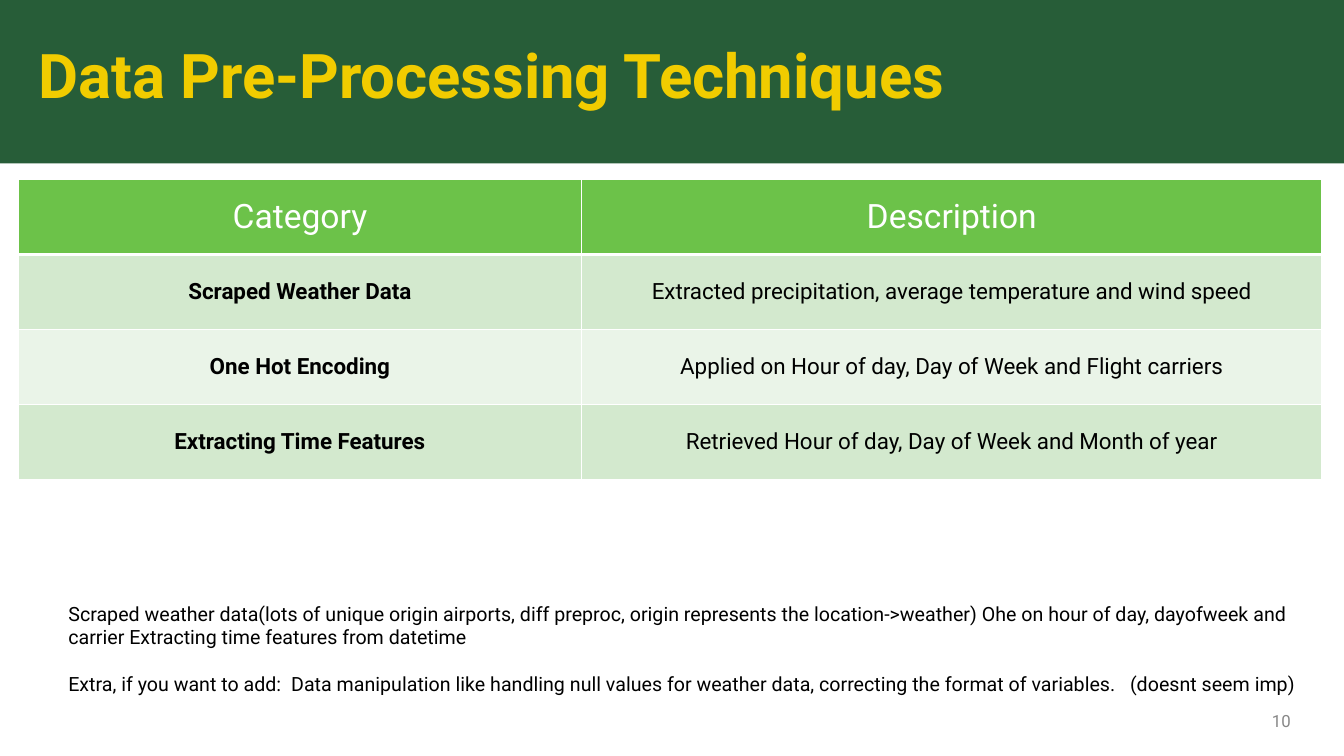
import pptx
import pptx.util
import pptx.dml.color
import pptx.enum.shapes
import pptx.enum.text
import pptx.oxml.ns
import lxml.etree

Inches = pptx.util.Inches
Pt = pptx.util.Pt
Align = pptx.enum.text.PP_ALIGN
Anchor = pptx.enum.text.MSO_ANCHOR

TITLE = "Data Pre-Processing Techniques"
PAGE_NUMBER = "10"
TECHNIQUES = [
    ("Category", "Description"),
    ("Scraped Weather Data", "Extracted precipitation, average temperature and wind speed"),
    ("One Hot Encoding", "Applied on Hour of day, Day of Week and Flight carriers"),
    ("Extracting Time Features", "Retrieved Hour of day, Day of Week and Month of year"),
]
NOTES = [
    "Scraped weather data(lots of unique origin airports, diff preproc, origin represents "
    "the location->weather) Ohe on hour of day, dayofweek and carrier Extracting time "
    "features from datetime",
    "Extra, if you want to add:\tData manipulation like handling null values for weather "
    "data, correcting the format of variables.\t(doesnt seem imp)",
]
NOTE_TABS = (2.21, 10.53)
COLUMN_WIDTHS = (5.59, 7.34)
ROW_HEIGHT = 0.745

THEME = {
    "font": "Roboto",
    "banner": "275D38",
    "title": "F1CC00",
    "header": "6CC249",
    "bands": ("EAF4E8", "D3E9CE"),
    "white": "FFFFFF",
    "text": "000000",
    "muted": "888888",
    "title_size": 44,
    "header_size": 24,
    "cell_size": 16,
    "note_size": 14,
    "number_size": 12,
}


def color(name):
    return pptx.dml.color.RGBColor.from_string(name)


def style(para, size, ink, bold=False, align=Align.LEFT):
    para.alignment = align
    para.font.name = THEME["font"]
    para.font.size = Pt(size)
    para.font.bold = bold
    para.font.color.rgb = color(ink)


def add_text_box(page, place, margins=(0.1, 0.05), anchor=Anchor.TOP):
    frame = page.shapes.add_textbox(*map(Inches, place)).text_frame
    frame.word_wrap = True
    frame.vertical_anchor = anchor
    frame.margin_left = frame.margin_right = Inches(margins[0])
    frame.margin_top = frame.margin_bottom = Inches(margins[1])
    return frame


def add_child(parent, tag, **attributes):
    return lxml.etree.SubElement(parent, pptx.oxml.ns.qn(tag), **attributes)


def add_borders(cell, top, bottom):
    properties = cell._tc.get_or_add_tcPr()
    for side, width in (("L", 1), ("R", 1), ("T", top), ("B", bottom)):
        line = add_child(properties, f"a:ln{side}", w=str(Pt(width)))
        add_child(add_child(line, "a:solidFill"), "a:srgbClr", val=THEME["white"])


def add_banner(page, width):
    banner = page.shapes.add_shape(
        pptx.enum.shapes.MSO_SHAPE.RECTANGLE, 0, 0, width, Inches(1.62))
    banner.shadow.inherit = False
    banner.fill.solid()
    banner.fill.fore_color.rgb = color(THEME["banner"])
    banner.line.fill.background()
    para = add_text_box(page, (0.38, 0.45, 12.52, 0.83), (0, 0)).paragraphs[0]
    para.text = TITLE
    para.line_spacing = 0.9
    style(para, THEME["title_size"], THEME["title"], bold=True)


def add_techniques(page):
    table = page.shapes.add_table(
        len(TECHNIQUES), len(COLUMN_WIDTHS), Inches(0.18), Inches(1.78),
        Inches(sum(COLUMN_WIDTHS)), Inches(ROW_HEIGHT * len(TECHNIQUES))).table
    for column, width in zip(table.columns, COLUMN_WIDTHS):
        column.width = Inches(width)
    for row_index, texts in enumerate(TECHNIQUES):
        table.rows[row_index].height = Inches(ROW_HEIGHT)
        is_header = row_index == 0
        for column_index, text in enumerate(texts):
            cell = table.cell(row_index, column_index)
            add_borders(cell, 3 if row_index == 1 else 1, 3 if is_header else 1)
            cell.fill.solid()
            cell.fill.fore_color.rgb = color(
                THEME["header"] if is_header else THEME["bands"][row_index % 2])
            cell.vertical_anchor = Anchor.MIDDLE
            para = cell.text_frame.paragraphs[0]
            para.text = text
            style(para,
                  THEME["header_size" if is_header else "cell_size"],
                  THEME["white" if is_header else "text"],
                  bold=not is_header and column_index == 0,
                  align=Align.CENTER)


def add_notes(page):
    frame = add_text_box(page, (0.58, 5.92, 12.53, 1.04))
    for index, text in enumerate(NOTES):
        para = frame.add_paragraph() if index else frame.paragraphs[0]
        para.text = text
        if index:
            para.space_before = Pt(16.5)
        if "\t" in text:
            stops = add_child(para._p.get_or_add_pPr(), "a:tabLst")
            for position in NOTE_TABS:
                add_child(stops, "a:tab", pos=str(Inches(position)), algn="l")
        style(para, THEME["note_size"], THEME["text"])


def add_page_number(page):
    frame = add_text_box(page, (9.65, 6.95, 3.25, 0.4), anchor=Anchor.MIDDLE)
    para = frame.paragraphs[0]
    para.text = PAGE_NUMBER
    style(para, THEME["number_size"], THEME["muted"], align=Align.RIGHT)


def main():
    deck = pptx.Presentation()
    deck.slide_width = Inches(13.33)
    deck.slide_height = Inches(7.5)
    page = deck.slides.add_slide(deck.slide_layouts[6])
    add_banner(page, deck.slide_width)
    add_techniques(page)
    add_notes(page)
    add_page_number(page)
    deck.save("out.pptx")


if __name__ == "__main__":
    main()
